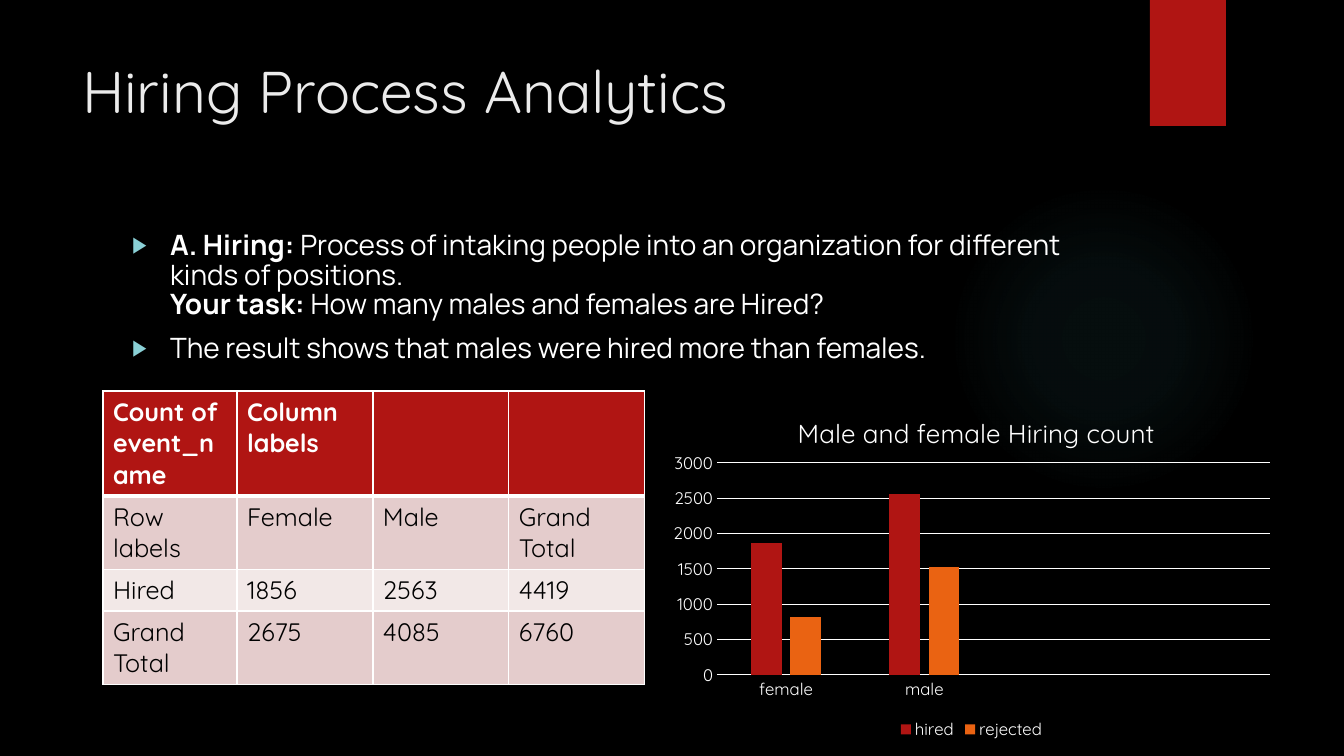
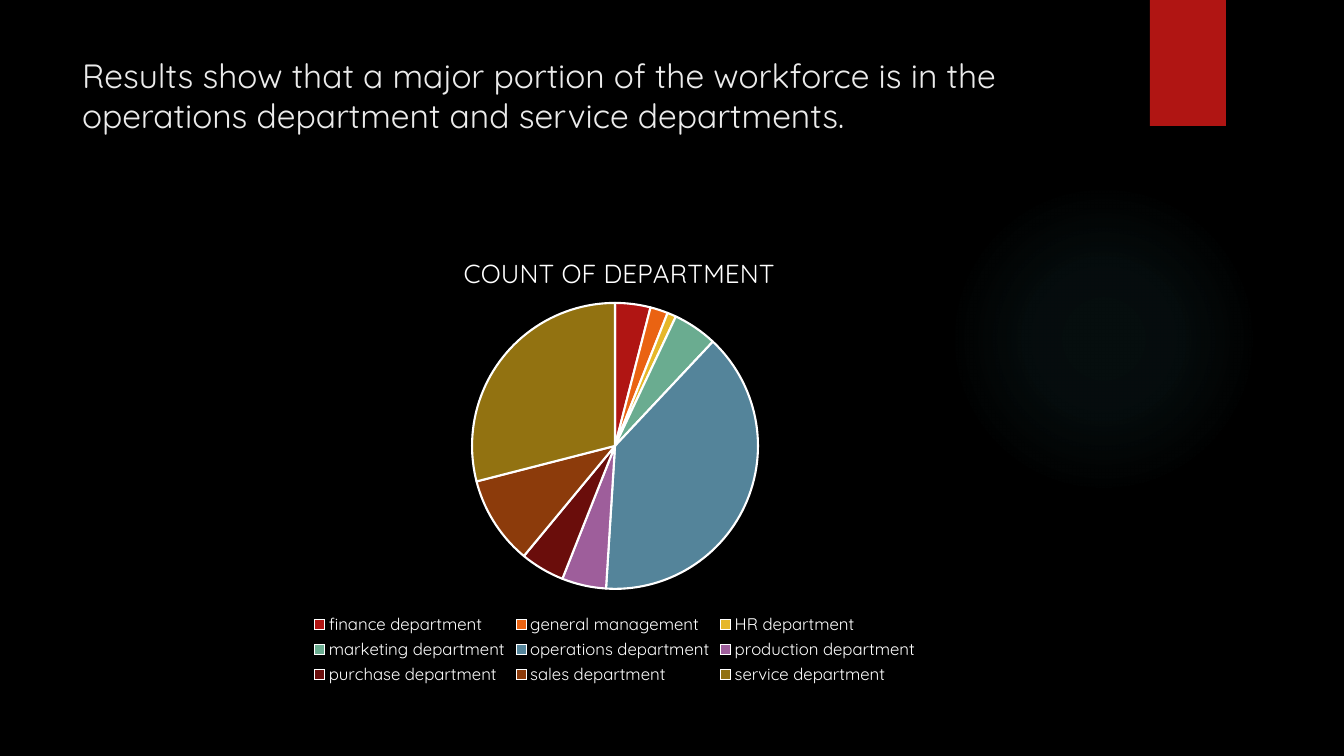
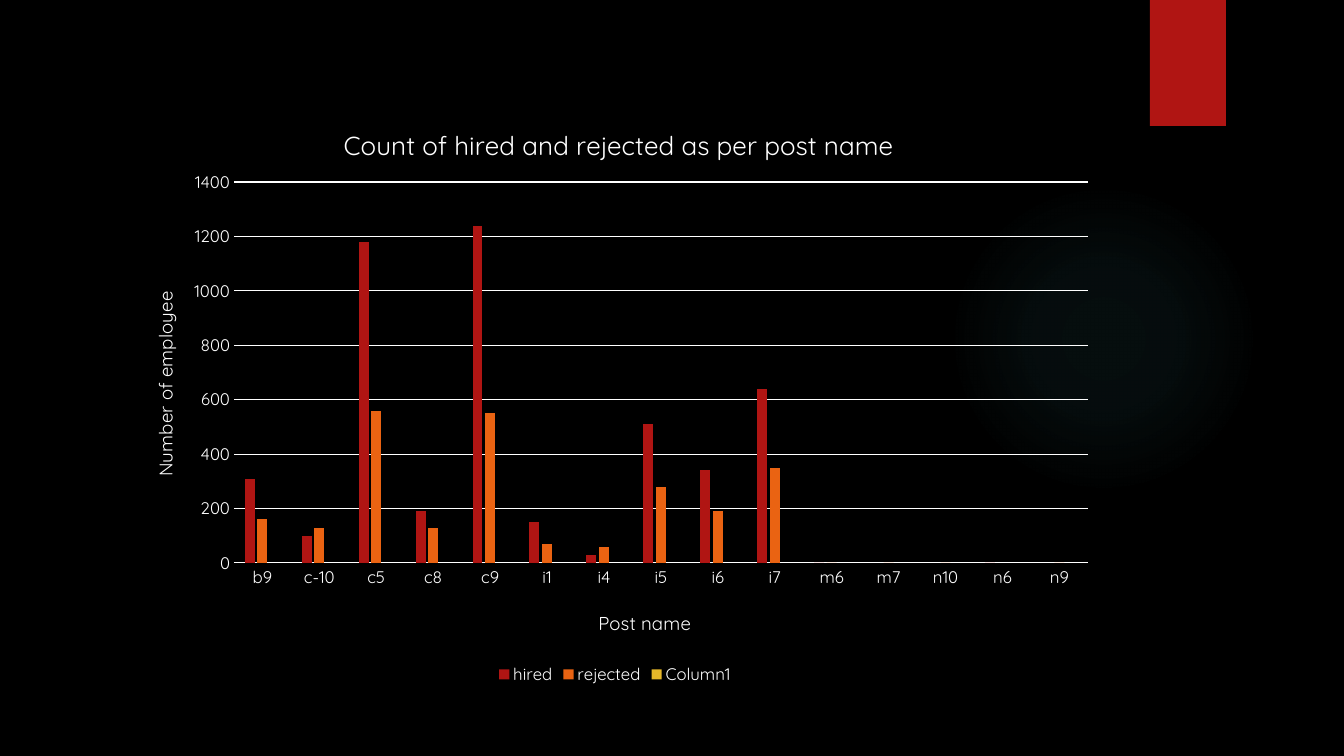
import pptx
import pptx.chart.data
import pptx.dml.color
import pptx.enum.chart
import pptx.enum.shapes
import pptx.enum.text
import pptx.oxml
import pptx.oxml.ns
import pptx.util

COLORS = {
    "background": "000000", "title": "EBEBEB", "white": "FFFFFF", "black": "000000",
    "red": "B01513", "orange": "EA6312", "yellow": "E6B729", "green": "6AAC90",
    "blue": "54849A", "purple": "9E5E9B", "maroon": "6A0D0B", "brown": "8C3B0B",
    "olive": "927211", "halo": "50B9C1", "bullet": "8AD0D6",
    "band_dark": "E4CCCC", "band_light": "F2E8E7",
}
SLIDE_WIDTH, SLIDE_HEIGHT = 1344, 756
SCALE = 12192000 / SLIDE_WIDTH
HEADING_FONT, BODY_FONT = "Quicksand", "Manrope"
TITLE_AND_CONTENT, TITLE_ONLY, BLANK = 1, 5, 6
CHART_TITLE_SIZE, AXIS_TITLE_SIZE, LABEL_SIZE = 18.6, 13.3, 12


def emu(pixels):
    """Turn pixels into EMU."""
    return pptx.util.Emu(round(pixels * SCALE))


def rgb(color):
    """Look up a named colour."""
    return pptx.dml.color.RGBColor.from_string(COLORS[color])


def apply(target, formats):
    """Set every attribute named in a dict."""
    for name, value in formats.items():
        setattr(target, name, value)


def xml(markup, prefix="a"):
    """Build an element, declaring its namespace on the root tag."""
    tag_end = min(i for i in (markup.find(" "), markup.find(">")) if i > 0)
    declaration = " " + pptx.oxml.ns.nsdecls(prefix)
    return pptx.oxml.parse_xml(markup[:tag_end] + declaration + markup[tag_end:])


class Deck:
    """Style of the presentation and the slide being built."""

    def __init__(self):
        """Open a wide, dark presentation."""
        self.presentation = pptx.Presentation()
        apply(self.presentation, {"slide_width": emu(SLIDE_WIDTH), "slide_height": emu(SLIDE_HEIGHT)})
        self.master = self.presentation.slide_master
        self.master.background.fill.solid()
        self.master.background.fill.fore_color.rgb = rgb("background")
        self.slide = None

    def new_slide(self, layout):
        """Start a slide; the first one also fills the master."""
        self.slide = self.presentation.slides.add_slide(self.presentation.slide_layouts[layout])
        if len(self.presentation.slides) == 1:
            self.decorate_master()

    def decorate_master(self):
        """Put the halo and the red ribbon on the master."""
        kinds = pptx.enum.shapes.MSO_SHAPE
        halo = self.shape(kinds.OVAL, (949, 184, 310, 310), "halo")
        ribbon = self.shape(kinds.RECTANGLE, (1150, 0, 76, 126), "red")
        stops = "".join(
            f'<a:gs pos="{position}000"><a:srgbClr val="{COLORS["halo"]}">'
            f'<a:alpha val="{alpha}000"/></a:srgbClr></a:gs>'
            for position, alpha in ((0, 7), (36, 6), (69, 0)))
        solid = halo.element.xpath("p:spPr/a:solidFill")[0]
        solid.getparent().replace(solid, xml(
            f'<a:gradFill rotWithShape="1"><a:gsLst>{stops}</a:gsLst><a:path path="circle">'
            '<a:fillToRect l="50000" t="50000" r="50000" b="50000"/></a:path></a:gradFill>'))
        for shape in (halo, ribbon):
            self.master.shapes.element.append(shape.element)

    def shape(self, kind, box, color):
        """Add a plain filled shape."""
        shape = self.slide.shapes.add_shape(kind, *map(emu, box))
        shape.shadow.inherit = False
        shape.fill.solid()
        shape.fill.fore_color.rgb = rgb(color)
        shape.line.fill.background()
        return shape

    def font(self, font, size, color="white", name=HEADING_FONT, bold=False):
        """Format a font."""
        apply(font, {"name": name, "size": pptx.util.Pt(size), "bold": bold})
        font.color.rgb = rgb(color)

    def outline(self, line, width):
        """Draw a white line."""
        line.color.rgb = rgb("white")
        line.width = pptx.util.Pt(width)

    def placeholder(self, index, box):
        """Place a placeholder and return its text frame."""
        shape = self.slide.placeholders[index]
        apply(shape, dict(zip(("left", "top", "width", "height"), map(emu, box))))
        apply(shape.text_frame, {
            "word_wrap": True,
            "auto_size": pptx.enum.text.MSO_AUTO_SIZE.NONE,
            "vertical_anchor": pptx.enum.text.MSO_ANCHOR.TOP,
        })
        return shape.text_frame

    def title(self, text, size):
        """Fill the title."""
        paragraph = self.placeholder(0, (72, 50, 1037, 154)).paragraphs[0]
        paragraph.alignment = pptx.enum.text.PP_ALIGN.LEFT
        run = paragraph.add_run()
        run.text = text
        self.font(run.font, size, "title")

    def bullets(self, items):
        """Fill the body; an item is a list of lines, a line a list of (text, bold)."""
        frame = self.placeholder(1, (122, 227, 986, 463))
        for number, lines in enumerate(items):
            paragraph = frame.add_paragraph() if number else frame.paragraphs[0]
            apply(paragraph, {"space_before": pptx.util.Pt(10), "line_spacing": 0.88})
            properties = paragraph._p.get_or_add_pPr()
            properties.set("marL", str(emu(38)))
            properties.set("indent", str(emu(-38)))
            for markup in (f'<a:buClr><a:srgbClr val="{COLORS["bullet"]}"/></a:buClr>',
                           '<a:buSzPct val="80000"/>', '<a:buFont typeface="Arial"/>',
                           '<a:buChar char="▶"/>'):
                properties.append(xml(markup))
            for line_number, line in enumerate(lines):
                if line_number:
                    paragraph.add_line_break()
                for text, bold in line:
                    run = paragraph.add_run()
                    run.text = text
                    self.font(run.font, 20, name=BODY_FONT, bold=bold)

    def table(self, left, top, widths, heights, rows):
        """Add a table with a red header and pink bands."""
        box = (left, top, sum(widths), sum(heights))
        table = self.slide.shapes.add_table(len(rows), len(widths), *map(emu, box)).table
        for column, width in zip(table.columns, widths):
            column.width = emu(width)
        for number, (row, height, texts) in enumerate(zip(table.rows, heights, rows)):
            row.height = emu(height)
            header = number == 0
            fill = "red" if header else "band_dark" if number % 2 else "band_light"
            for cell, text in zip(row.cells, texts):
                self.borders(cell, top=3 if number == 1 else 1, bottom=3 if header else 1)
                cell.fill.solid()
                cell.fill.fore_color.rgb = rgb(fill)
                if text:
                    run = cell.text_frame.paragraphs[0].add_run()
                    run.text = text
                    self.font(run.font, 18, "white" if header else "black", bold=header)

    def borders(self, cell, top, bottom):
        """Give a cell white borders."""
        properties = cell._tc.get_or_add_tcPr()
        for side, width in {"L": 1, "R": 1, "T": top, "B": bottom}.items():
            properties.append(xml(
                f'<a:ln{side} w="{pptx.util.Pt(width)}"><a:solidFill>'
                f'<a:srgbClr val="{COLORS["white"]}"/></a:solidFill></a:ln{side}>'))

    def layout(self, element, index, chart_box, box):
        """Fix the place of a chart part, given in slide pixels."""
        for old in element.xpath("c:layout"):
            element.remove(old)
        left, top, width, height = chart_box
        values = {"x": (box[0] - left) / width, "y": (box[1] - top) / height}
        if len(box) == 4:
            values.update(w=box[2] / width, h=box[3] / height)
        target = '<c:layoutTarget val="inner"/>' if len(box) == 4 else ""
        modes = '<c:xMode val="edge"/><c:yMode val="edge"/>'
        places = "".join(f'<c:{name} val="{value:.4f}"/>' for name, value in values.items())
        element.insert(index, xml(
            f"<c:layout><c:manualLayout>{target}{modes}{places}</c:manualLayout></c:layout>", "c"))

    def chart_text(self, title, text, size, chart_box, corner):
        """Write a chart or axis title at a corner point."""
        paragraph = title.text_frame.paragraphs[0]
        run = paragraph.add_run()
        run.text = text
        self.font(run.font, size)
        self.layout(title.element, 1, chart_box, corner)

    def chart(self, kind, box, plot_box, title, corner, categories, series):
        """Add a chart with its title and a legend below."""
        data = pptx.chart.data.CategoryChartData()
        data.categories = categories
        for name, values in series.items():
            data.add_series(name, values)
        chart = self.slide.shapes.add_chart(kind, *map(emu, box), data).chart
        self.font(chart.font, 10)
        apply(chart, {"has_title": True, "has_legend": True})
        self.chart_text(chart.chart_title, title, CHART_TITLE_SIZE, box, corner)
        self.layout(chart.element.xpath("c:chart/c:plotArea")[0], 0, box, plot_box)
        apply(chart.legend, {"position": pptx.enum.chart.XL_LEGEND_POSITION.BOTTOM,
                             "include_in_layout": False})
        self.font(chart.legend.font, LABEL_SIZE)
        return chart

    def columns(self, box, plot_box, title, corner, categories, series, maximum, step, axis_titles=()):
        """Add a clustered column chart; axis titles are (text, corner) pairs."""
        chart = self.chart(pptx.enum.chart.XL_CHART_TYPE.COLUMN_CLUSTERED, box, plot_box,
                           title, corner, categories, series)
        plot = chart.plots[0]
        apply(plot, {"gap_width": 219, "overlap": -27, "vary_by_categories": False})
        for item, color in zip(plot.series, ("red", "orange", "yellow")):
            item.format.fill.solid()
            item.format.fill.fore_color.rgb = rgb(color)
        axes = (chart.category_axis, chart.value_axis)
        for axis in axes:
            none = pptx.enum.chart.XL_TICK_MARK.NONE
            apply(axis, {"major_tick_mark": none, "minor_tick_mark": none})
            self.font(axis.tick_labels.font, LABEL_SIZE)
        category_axis, value_axis = axes
        self.outline(category_axis.format.line, 0.75)
        apply(value_axis, {"minimum_scale": 0, "maximum_scale": maximum, "major_unit": step,
                           "has_major_gridlines": True})
        value_axis.format.line.fill.background()
        self.outline(value_axis.major_gridlines.format.line, 0.75)
        for axis, (text, place) in zip(axes, axis_titles):
            self.chart_text(axis.axis_title, text, AXIS_TITLE_SIZE, box, place)
            if axis is value_axis:
                body = axis.axis_title.element.xpath("c:tx/c:rich/a:bodyPr")[0]
                body.set("rot", "-5400000")
                body.set("vert", "horz")

    def pie(self, box, plot_box, title, corner, slices):
        """Add a pie; each slice is (name, value, colour)."""
        names, values, colors = zip(*slices)
        chart = self.chart(pptx.enum.chart.XL_CHART_TYPE.PIE, box, plot_box,
                           title, corner, names, {title: values})
        plot = chart.plots[0]
        plot.vary_by_categories = True
        for number, color in enumerate(colors):
            point = plot.series[0].points[number]
            point.format.fill.solid()
            point.format.fill.fore_color.rgb = rgb(color)
            self.outline(point.format.line, 1.5)


def main():
    """Build the three slides."""
    deck = Deck()

    deck.new_slide(TITLE_AND_CONTENT)
    deck.title("Hiring Process Analytics", 42)
    deck.bullets([
        [[("A. Hiring:", True),
          (" Process of intaking people into an organization for different kinds of positions.", False)],
         [("Your task:", True), (" How many males and females are Hired?", False)]],
        [[("The result shows that males were hired more than females.", False)]],
    ])
    deck.table(103, 391, [134, 136, 136, 136], [94, 65, 37, 65], [
        ["Count of event_name", "Column labels", "", ""],
        ["Row labels", "Female", "Male", "Grand Total"],
        ["Hired", "1856", "2563", "4419"],
        ["Grand Total", "2675", "4085", "6760"],
    ])
    deck.columns(
        (661, 391, 621, 353), (717, 463, 553, 212), "Male and female Hiring count", (793, 409),
        ["female", "male", "", ""],
        {"hired": [1860, 2560, None, None], "rejected": [820, 1520, None, None]}, 3000, 500)

    deck.new_slide(TITLE_ONLY)
    deck.title("Results show that a major portion of the workforce is in the "
               "operations department and service departments.", 24)
    deck.pie((122, 226, 986, 463), (472, 303, 286, 286), "COUNT OF DEPARTMENT", (459, 249), [
        ("finance department", 4, "red"),
        ("general management", 2, "orange"),
        ("HR department", 1, "yellow"),
        ("marketing department", 5, "green"),
        ("operations department", 39, "blue"),
        ("production department", 5, "purple"),
        ("purchase department", 5, "maroon"),
        ("sales department", 10, "brown"),
        ("service department", 29, "olive"),
    ])

    deck.new_slide(BLANK)
    posts = ["b9", "c-10", "c5", "c8", "c9", "i1", "i4", "i5", "i6", "i7", "m6", "m7", "n10", "n6", "n9"]
    deck.columns(
        (122, 95, 986, 594), (234, 182, 854, 381),
        "Count of hired and rejected as per post name", (339, 121), posts,
        {"hired": [310, 100, 1180, 190, 1240, 150, 30, 510, 340, 640, 0, None, None, 0, None],
         "rejected": [160, 130, 560, 130, 550, 70, 60, 280, 190, 350, 0, 0, 0, None, 0],
         "Column1": [None] * len(posts)},
        1400, 200, [("Post name", (595, 606)), ("Number of employee", (148, 288))])

    deck.presentation.save("out.pptx")


if __name__ == "__main__":
    main()
